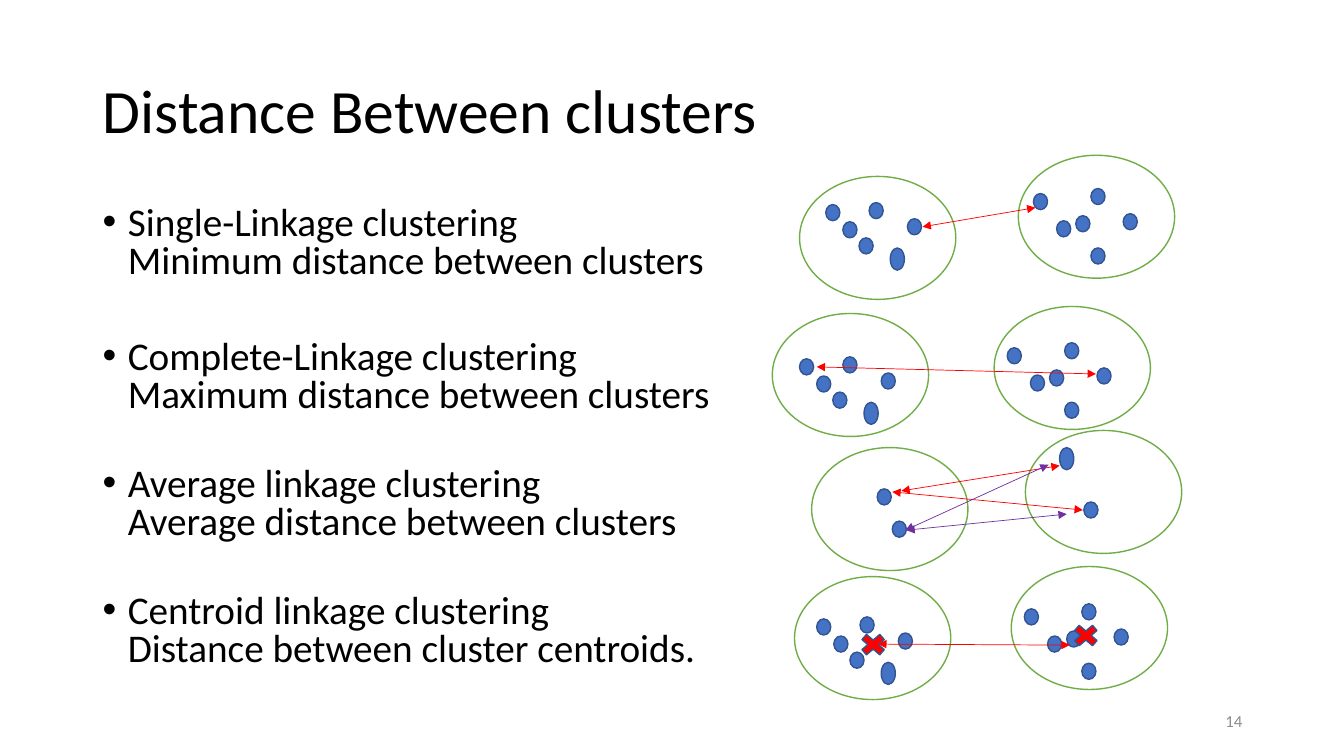
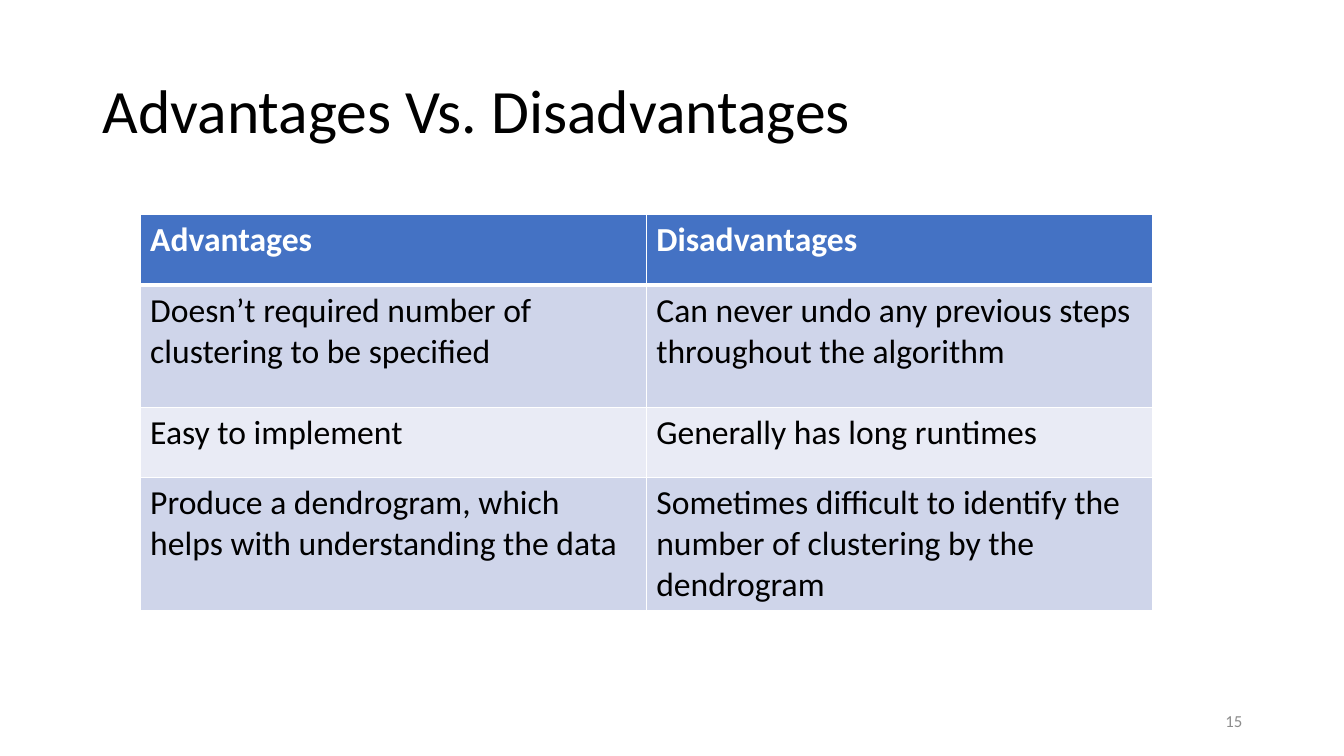
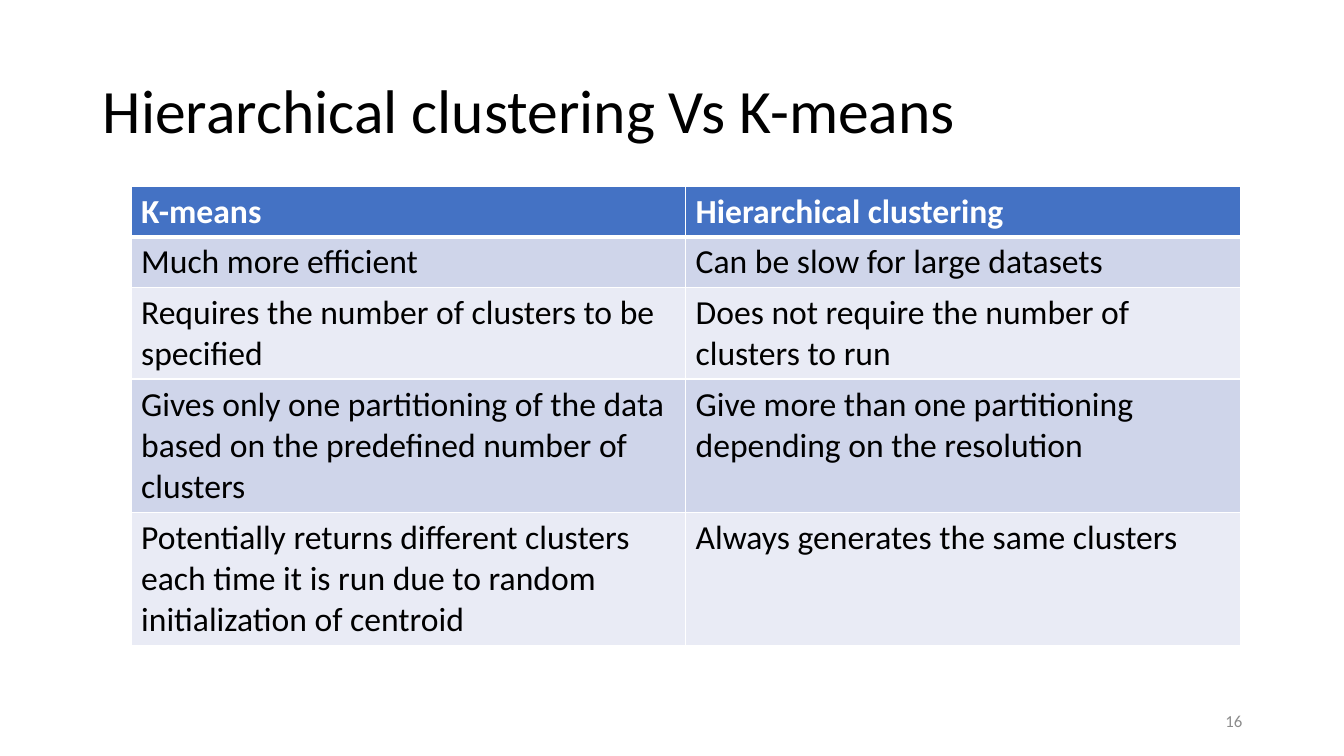
"""Build three slides on cluster linkage and how clustering methods compare."""
import dataclasses

import lxml.etree
import pptx
import pptx.dml.color
import pptx.enum.shapes
import pptx.enum.text
import pptx.oxml.ns
import pptx.util

Inches = pptx.util.Inches
Points = pptx.util.Pt
Preset = pptx.enum.shapes.MSO_SHAPE
Anchor = pptx.enum.text.MSO_ANCHOR
Align = pptx.enum.text.PP_ALIGN


@dataclasses.dataclass(frozen=True)
class Theme:
    font: str = "Calibri"
    title_size: int = 44
    body_size: int = 28
    table_size: int = 24
    number_size: int = 12
    black: str = "000000"
    white: str = "FFFFFF"
    gray: str = "8C8C8C"
    blue: str = "4472C4"
    dark_blue: str = "325491"
    green: str = "70AD47"
    red: str = "FF0000"
    purple: str = "7030A0"
    bands: tuple = ("CFD5EA", "E9EBF5")


THEME = Theme()
FIRST_NUMBER = 14
TITLE_AREA = (0.92, 0.4, 11.5, 1.45)
BODY_AREA = (0.92, 2, 11.5, 4.76)
NUMBER_AREA = (9.42, 6.95, 3, 0.4)

LINKAGES = [
    ("Single-Linkage clustering", "Minimum distance between clusters", 10),
    ("Complete-Linkage clustering", "Maximum distance between clusters", 42),
    ("Average linkage clustering", "Average distance between clusters", 37),
    ("Centroid linkage clustering", "Distance between cluster centroids.", 37),
]

CLUSTER_SIZE = (1.55, 1.22)
CROSS_SIZE = (0.34, 0.29)
DOT_SIZE = (0.14, 0.16)
TALL_SIZE = (0.14, 0.22)
LEFT_DOTS = [(0, 0, DOT_SIZE), (0.17, 0.17, DOT_SIZE), (0.43, -0.02, DOT_SIZE),
             (0.33, 0.33, DOT_SIZE), (0.81, 0.14, DOT_SIZE), (0.64, 0.43, TALL_SIZE)]
RIGHT_DOTS = [(0, 0, DOT_SIZE), (0.23, 0.27, DOT_SIZE), (0.42, 0.22, DOT_SIZE),
              (0.57, -0.05, DOT_SIZE), (0.89, 0.2, DOT_SIZE), (0.57, 0.54, DOT_SIZE)]
LEFT_PAIR = [(0, 0, DOT_SIZE), (0.15, 0.32, DOT_SIZE)]
RIGHT_PAIR = [(0, 0, TALL_SIZE), (0.24, 0.54, DOT_SIZE)]

DIAGRAMS = [
    {"clusters": [((7.93, 1.75), (8.19, 2.03), LEFT_DOTS),
                  ((10.1, 1.54), (10.25, 1.92), RIGHT_DOTS)],
     "crosses": [],
     "arrows": [((9.15, 2.25), (10.27, 2.06), THEME.red)]},
    {"clusters": [((7.66, 3.11), (7.93, 3.56), LEFT_DOTS),
                  ((9.86, 3.04), (9.99, 3.45), RIGHT_DOTS)],
     "crosses": [],
     "arrows": [((8.1, 3.64), (10.87, 3.71), THEME.red)]},
    {"clusters": [((8.05, 4.44), (8.7, 4.85), LEFT_PAIR),
                  ((10.17, 4.27), (10.51, 4.44), RIGHT_PAIR)],
     "crosses": [],
     "arrows": [((8.94, 4.87), (10.51, 4.62), THEME.red),
                ((8.85, 4.88), (10.74, 5.06), THEME.red),
                ((8.99, 5.26), (10.58, 5.1), THEME.purple),
                ((8.98, 5.26), (10.4, 4.61), THEME.purple)]},
    {"clusters": [((7.88, 5.72), (8.1, 6.14), LEFT_DOTS),
                  ((10.03, 5.62), (10.16, 6.04), RIGHT_DOTS)],
     "crosses": [(8.49, 6.25), (10.6, 6.16)],
     "arrows": [((8.71, 6.39), (10.61, 6.4), THEME.red)]},
]

TABLES = [
    {"title": "Advantages Vs. Disadvantages",
     "corner": (1.39, 2.13), "column": 5.02, "heights": [0.7, 1.21, 0.7, 1.32],
     "rows": [
         ("Advantages", "Disadvantages"),
         ("Doesn’t required number of clustering to be specified",
          "Can never undo any previous steps throughout the algorithm"),
         ("Easy to implement", "Generally has long runtimes"),
         ("Produce a dendrogram, which helps with understanding the data",
          "Sometimes difficult to identify the number of clustering by the dendrogram"),
     ]},
    {"title": "Hierarchical clustering Vs K-means",
     "corner": (1.3, 1.85), "column": 5.5, "heights": [0.5, 0.5, 0.91, 1.32, 1.32],
     "rows": [
         ("K-means", "Hierarchical clustering"),
         ("Much more efficient", "Can be slow for large datasets"),
         ("Requires the number of clusters to be specified",
          "Does not require the number of clusters to run"),
         ("Gives only one partitioning of the data based on the predefined number of clusters",
          "Give more than one partitioning depending on the resolution"),
         ("Potentially returns different clusters each time it is run due to random "
          "initialization of centroid",
          "Always generates the same clusters"),
     ]},
]


def color(value):
    return pptx.dml.color.RGBColor.from_string(value)


def add_xml(parent, tag, **attributes):
    return lxml.etree.SubElement(parent, pptx.oxml.ns.qn(tag), attributes)


def write(para, text, size, ink=THEME.black, bold=False, align=None,
          line_spacing=None, space_before=None, bullet=False):
    for index, line in enumerate(text.split("\n")):
        if index:
            para.add_line_break()
        span = para.add_run()
        span.text = line
        span.font.name = THEME.font
        span.font.size = Points(size)
        span.font.bold = bold
        span.font.color.rgb = color(ink)
    if align is not None:
        para.alignment = align
    if line_spacing is not None:
        para.line_spacing = line_spacing
    if space_before is not None:
        para.space_before = Points(space_before)
    if bullet:
        properties = para._p.get_or_add_pPr()
        properties.set("marL", str(Inches(0.25)))
        properties.set("indent", str(Inches(-0.25)))
        add_xml(properties, "a:buFont", typeface="Arial")
        add_xml(properties, "a:buChar", char="•")


def add_text_frame(page, area, anchor=Anchor.MIDDLE):
    frame = page.shapes.add_textbox(*map(Inches, area)).text_frame
    frame.word_wrap = True
    frame.vertical_anchor = anchor
    return frame


def add_page(deck, title):
    page = deck.slides.add_slide(deck.slide_layouts[6])
    number = FIRST_NUMBER + len(deck.slides) - 1
    write(add_text_frame(page, TITLE_AREA).paragraphs[0], title,
          THEME.title_size, line_spacing=0.9)
    write(add_text_frame(page, NUMBER_AREA).paragraphs[0], str(number),
          THEME.number_size, ink=THEME.gray, align=Align.RIGHT)
    return page


def add_figure(page, preset, corner, size, fill, line):
    shape = page.shapes.add_shape(preset, *map(Inches, (*corner, *size)))
    shape.shadow.inherit = False
    shape.fill.solid()
    shape.fill.fore_color.rgb = color(fill)
    shape.line.color.rgb = color(line)
    shape.line.width = Points(1)


def add_arrow(page, start, end, ink):
    arrow = page.shapes.add_connector(
        pptx.enum.shapes.MSO_CONNECTOR.STRAIGHT, *map(Inches, (*start, *end)))
    arrow.line.color.rgb = color(ink)
    arrow.line.width = Points(0.5)
    outline = arrow.line._get_or_add_ln()
    add_xml(outline, "a:headEnd", type="triangle")
    add_xml(outline, "a:tailEnd", type="triangle")
    add_xml(arrow._element.spPr, "a:effectLst")


def add_diagram(page, diagram):
    for corner, (left, top), dots in diagram["clusters"]:
        add_figure(page, Preset.OVAL, corner, CLUSTER_SIZE, THEME.white, THEME.green)
        for across, down, size in dots:
            add_figure(page, Preset.OVAL, (left + across, top + down), size,
                       THEME.blue, THEME.dark_blue)
    for corner in diagram["crosses"]:
        add_figure(page, Preset.MATH_MULTIPLY, corner, CROSS_SIZE,
                   THEME.red, THEME.dark_blue)
    for arrow in diagram["arrows"]:
        add_arrow(page, *arrow)


def add_borders(cell, top, bottom):
    properties = cell._tc.get_or_add_tcPr()
    for side, width in (("L", 1), ("R", 1), ("T", top), ("B", bottom)):
        border = add_xml(properties, "a:ln" + side, w=str(Points(width)))
        add_xml(add_xml(border, "a:solidFill"), "a:srgbClr", val=THEME.white)


def add_comparison(page, corner, column, heights, rows):
    size = (column * len(rows[0]), sum(heights))
    table = page.shapes.add_table(len(rows), len(rows[0]),
                                  *map(Inches, (*corner, *size))).table
    for table_column in table.columns:
        table_column.width = Inches(column)
    for index, (height, texts) in enumerate(zip(heights, rows)):
        table.rows[index].height = Inches(height)
        header = index == 0
        for cell, text in zip(table.rows[index].cells, texts):
            add_borders(cell, top=3 if index == 1 else 1, bottom=3 if header else 1)
            cell.fill.solid()
            cell.fill.fore_color.rgb = color(
                THEME.blue if header else THEME.bands[(index - 1) % 2])
            write(cell.text_frame.paragraphs[0], text, THEME.table_size,
                  ink=THEME.white if header else THEME.black, bold=header)


def build_linkage_page(deck):
    page = add_page(deck, "Distance Between clusters")
    frame = add_text_frame(page, BODY_AREA, anchor=Anchor.TOP)
    for index, (name, meaning, gap) in enumerate(LINKAGES):
        para = frame.add_paragraph() if index else frame.paragraphs[0]
        write(para, f"{name}\n{meaning}", THEME.body_size, line_spacing=0.8,
              space_before=gap, bullet=True)
    for diagram in DIAGRAMS:
        add_diagram(page, diagram)


def main():
    deck = pptx.Presentation()
    deck.slide_width, deck.slide_height = Inches(13.33), Inches(7.5)
    build_linkage_page(deck)
    for content in TABLES:
        page = add_page(deck, content["title"])
        add_comparison(page, content["corner"], content["column"],
                       content["heights"], content["rows"])
    deck.save("out.pptx")


if __name__ == "__main__":
    main()
